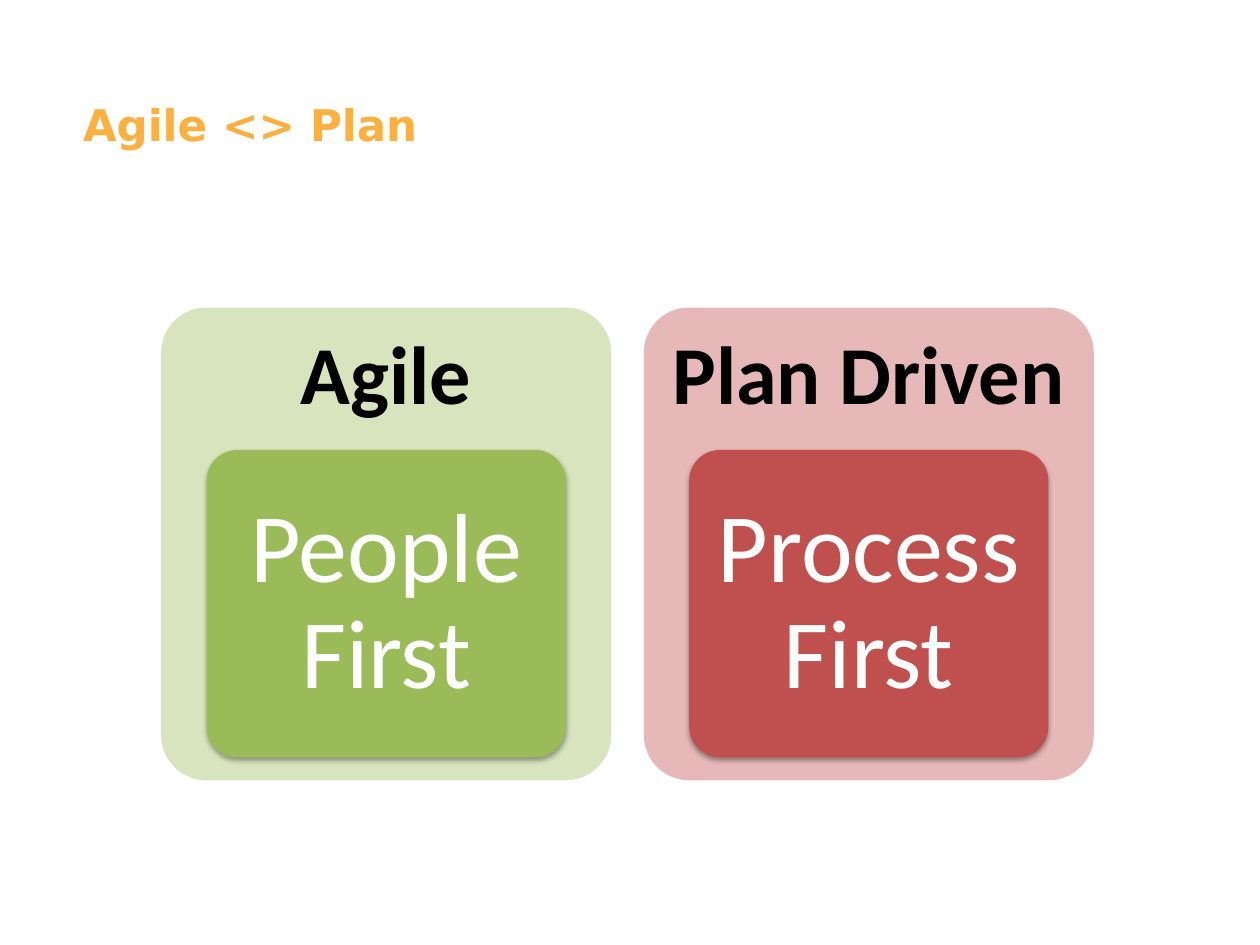
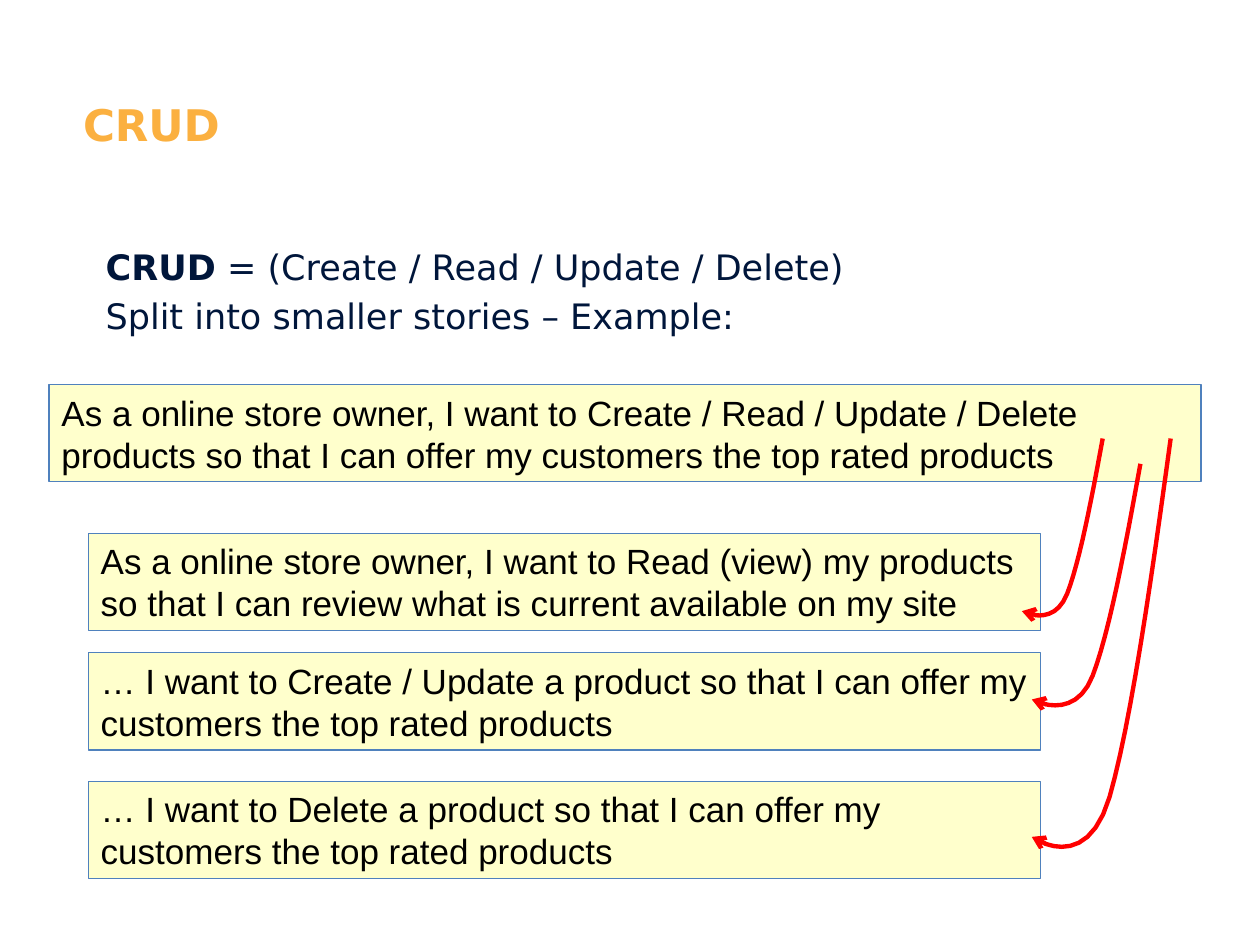
from lxml.etree import SubElement
from pptx import Presentation
from pptx.dml.color import RGBColor as RGB
from pptx.enum.shapes import MSO_SHAPE as Kind
from pptx.enum.text import MSO_ANCHOR as Anchor, PP_ALIGN as Align
from pptx.oxml import parse_xml
from pptx.oxml.ns import nsdecls, qn
from pptx.util import Cm, Pt

ORANGE, NAVY = RGB(0xFB, 0xB0, 0x40), RGB(0x00, 0x16, 0x3B)
BLACK, WHITE = RGB(0, 0, 0), RGB(0xFF, 0xFF, 0xFF)
CREAM, BLUE = RGB(0xFF, 0xFF, 0xCC), RGB(0x4F, 0x81, 0xBD)
RED = RGB(0xFF, 0, 0)
LIME, GREEN = RGB(0xD7, 0xE4, 0xBD), RGB(0x9B, 0xBB, 0x59)
PINK, BRICK = RGB(0xE6, 0xB9, 0xB8), RGB(0xC0, 0x50, 0x4D)

TITLE = dict(name="DejaVu Sans", size=Pt(24.9), bold=True)
INTRO = dict(name="DejaVu Sans", size=Pt(20))
HEAD = dict(name="Calibri", size=Pt(47), bold=True)
MOTTO = dict(name="Calibri", size=Pt(56), bold=False)
STORY = dict(name="Arial", size=Pt(20), bold=False)

# Heading, motto, card colour, tile colour
CARDS = [
    ("Agile", "People First", LIME, GREEN),
    ("Plan Driven", "Process First", PINK, BRICK),
]
CARD_X, CARD_Y, CARD_W, CARD_H, PITCH = 3.25, 6.2, 9.07, 9.53, 9.73
TILE_Y, TILE_W, TILE_H = 9.07, 7.24, 6.2
HEAD_PADS = (.25, .25, .25, 6.93)
TILE_PADS = (.2, .3, .2, .3)

# Runs of each line: text, bold
LINES = [
    [("CRUD", True), (" = (Create / Read / Update / Delete)", False)],
    [("Split into smaller stories – Example:", False)],
]
EPIC = ("As a online store owner, I want to Create / Read / Update / Delete "
        "products so that I can offer my customers the top rated products")
# Top, text
PARTS = [
    (10.75, "As a online store owner, I want to Read (view) my products "
            "so that I can review what is current available on my site"),
    (13.16, "… I want to Create / Update a product so that I can offer my "
            "customers the top rated products"),
    (15.75, "… I want to Delete a product so that I can offer my "
            "customers the top rated products"),
]
STORY_H = 1.96
# Start, tip
ARROWS = [
    ((22.23, 8.84), (20.6, 12.32)),
    ((22.99, 9.35), (20.8, 14.1)),
    ((23.6, 8.84), (20.8, 16.87)),
]
# Two joined Bezier curves, as fractions of the way from start to tip
HOOK = [
    [(0, 0), (.14, .36), (.29, .72), (.44, .9)],
    [(.44, .9), (.61, 1.1), (1, 1), (1, 1)],
]
STEPS = 12


def style(font, form, color):
    for key, value in form.items():
        setattr(font, key, value)
    font.color.rgb = color


def add_page(deck, text):
    page = deck.slides.add_slide(deck.slide_layouts[5])
    title = page.shapes.title
    title.left, title.top, title.width, title.height = map(
        Cm, (1.42, 1.85, 22.45, 3.18))
    title.text_frame.text = text
    title.text_frame.vertical_anchor = Anchor.TOP
    par = title.text_frame.paragraphs[0]
    par.alignment = Align.LEFT
    style(par.font, TITLE, ORANGE)
    return page


def add_block(page, kind, box, fill, text, form, color, align):
    block = page.shapes.add_shape(kind, *map(Cm, box))
    block.shadow.inherit = False
    block.fill.solid()
    block.fill.fore_color.rgb = fill
    block.line.fill.background()
    frame = block.text_frame
    frame.word_wrap = True
    frame.text = text
    frame.vertical_anchor = Anchor.MIDDLE
    par = frame.paragraphs[0]
    par.alignment = align
    style(par.font, form, color)
    return block


def add_round(page, box, fill, text, form, color, pads):
    """Add a rounded block; pads are its left, top, right, bottom insets."""
    block = add_block(page, Kind.ROUNDED_RECTANGLE, box, fill,
                      text, form, color, Align.CENTER)
    block.adjustments[0] = 0.1
    frame = block.text_frame
    frame.paragraphs[0].line_spacing = 0.9
    for side, pad in zip(("left", "top", "right", "bottom"), pads):
        setattr(frame, "margin_" + side, Cm(pad))
    return block


def cast(block):
    """Give a block a soft shadow below it."""
    old = block.element.spPr.find(qn("a:effectLst"))
    old.getparent().replace(old, parse_xml(
        f'<a:effectLst {nsdecls("a")}><a:outerShdw blurRad="{Pt(3.1)}" '
        f'dist="{Pt(1.8)}" dir="5400000" rotWithShape="0">'
        '<a:srgbClr val="000000"><a:alpha val="35000"/></a:srgbClr>'
        '</a:outerShdw></a:effectLst>'))


def add_story(page, box, text):
    block = add_block(page, Kind.RECTANGLE, box, CREAM,
                      text, STORY, BLACK, Align.LEFT)
    block.line.color.rgb = BLUE
    block.line.width = Pt(0.75)


def bend(curve, t):
    """Return the point at t on a cubic Bezier curve."""
    s = 1 - t
    parts = (s ** 3, 3 * s * s * t, 3 * s * t * t, t ** 3)
    return [sum(w * p[i] for w, p in zip(parts, curve)) for i in (0, 1)]


def add_hook(page, start, tip):
    spots = [bend(curve, n / STEPS)
             for curve in HOOK for n in range(1, STEPS + 1)]
    dots = [tuple(Cm(a + (b - a) * f) for a, b, f in zip(start, tip, spot))
            for spot in spots]
    pen = page.shapes.build_freeform(*map(Cm, start))
    pen.add_line_segments(dots, close=False)
    hook = pen.convert_to_shape()
    hook.shadow.inherit = False
    hook.fill.background()
    hook.line.color.rgb = RED
    hook.line.width = Pt(2.5)
    ln = hook.element.spPr.find(qn("a:ln"))
    SubElement(ln, qn("a:tailEnd"), type="arrow")


def add_intro(page):
    frame = page.shapes.add_textbox(
        *map(Cm, (1.88, 4.83, 22.6, 2.5))).text_frame
    frame.word_wrap = True
    for n, runs in enumerate(LINES):
        par = frame.add_paragraph() if n else frame.paragraphs[0]
        par.space_before = Pt(4 if n else 0)
        for text, bold in runs:
            run = par.add_run()
            run.text = text
            style(run.font, dict(INTRO, bold=bold), NAVY)


def main():
    deck = Presentation()
    deck.slide_width, deck.slide_height = Cm(25.4), Cm(19.05)

    page = add_page(deck, "Agile <> Plan")
    for n, (head, motto, pale, deep) in enumerate(CARDS):
        x = CARD_X + n * PITCH
        add_round(page, (x, CARD_Y, CARD_W, CARD_H), pale,
                  head, HEAD, BLACK, HEAD_PADS)
        tile = (x + (CARD_W - TILE_W) / 2, TILE_Y, TILE_W, TILE_H)
        cast(add_round(page, tile, deep, motto, MOTTO, WHITE, TILE_PADS))

    page = add_page(deck, "CRUD")
    add_intro(page)
    add_story(page, (.99, 7.75, 23.22, STORY_H), EPIC)
    for top, text in PARTS:
        add_story(page, (1.78, top, 19.2, STORY_H), text)
    for start, tip in ARROWS:
        add_hook(page, start, tip)

    deck.save("out.pptx")


if __name__ == "__main__":
    main()
